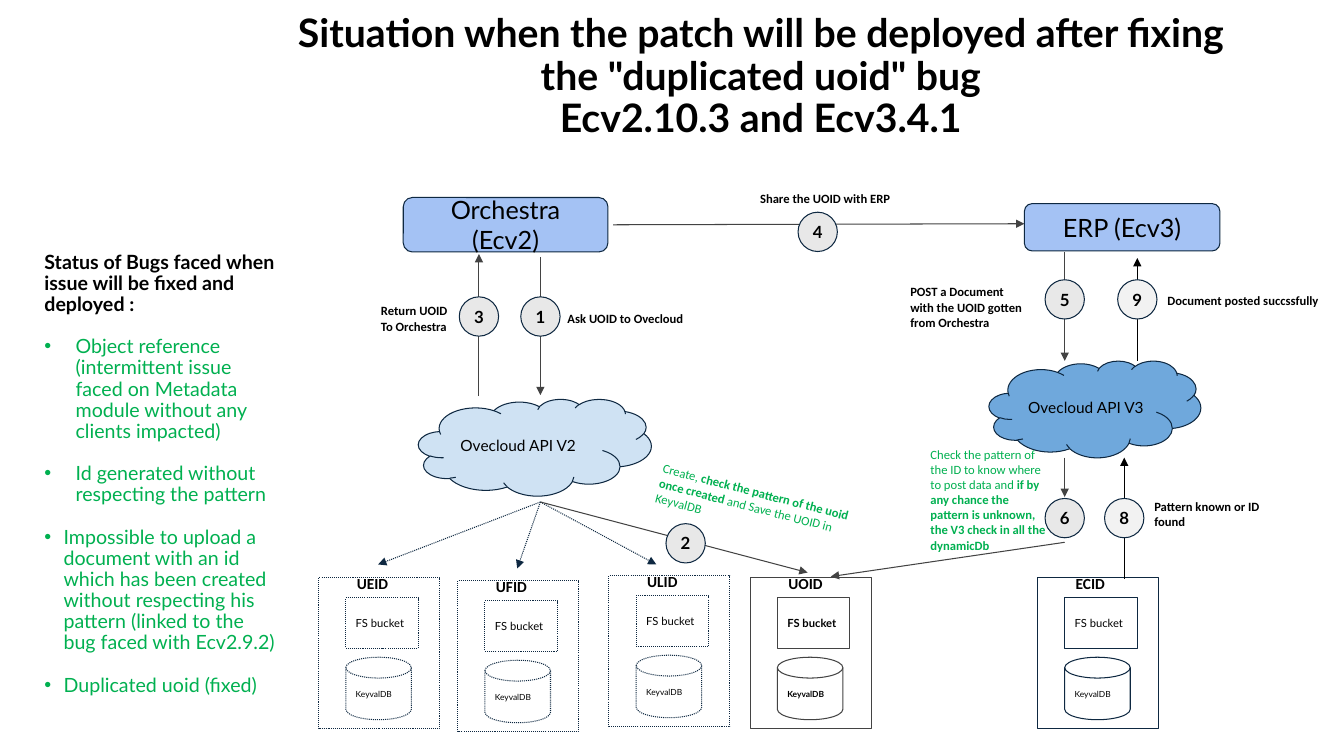
from pptx import Presentation
from pptx import util as u
from pptx.dml.color import RGBColor
from pptx.enum import dml, shapes, text
from pptx.oxml.ns import qn
from lxml import etree

WIDTH, HEIGHT = 13.33, 7.5
BLACK, NAVY, GRAY, GREEN = "000000", "0E2841", "434343", "00B050"
PALE, PALER = "E8E8E8", "F2F2F2"

# Columns of the vertical flows and rows shared by several parts (inches)
RETURN_X, ASK_X, POST_X, FOUND_X, POSTED_X = 4.75, 5.36, 10.56, 11.15, 11.28
UPPER_Y, LOWER_Y, STORE_Y = 2.97, 5.14, 5.73
FAN_Y = 4.98
CIRCLE = 0.39

TITLE = ('Situation when the patch will be deployed after fixing '
         'the "duplicated uoid" bug\nEcv2.10.3 and Ecv3.4.1')
STATUS = "Status of Bugs faced when issue will be fixed and deployed :"
BUGS = [  # text, hanging indent
    ("Object reference (intermittent issue faced on Metadata module "
     "without any clients impacted)", 0.31),
    ("Id generated without respecting the pattern", 0.31),
    ("Impossible to upload a document with an id which has been created without "
     "respecting his pattern (linked to the bug faced with Ecv2.9.2)", 0.19),
    ("Duplicated uoid (fixed)", 0.19),
]
STORES = [  # name, left, top, line colour, dotted, bold
    ("UEID", 3.16, STORE_Y, NAVY, True, False),
    ("UFID", 4.54, STORE_Y + 0.03, NAVY, True, False),
    ("ULID", 6.04, STORE_Y - 0.02, NAVY, True, False),
    ("UOID", 7.44, STORE_Y, GRAY, False, True),
    ("ECID", 10.29, STORE_Y, NAVY, False, False),
]
ARROWS = [  # start, end, colour, dotted
    ((ASK_X, FAN_Y), (3.75, 5.6), NAVY, True),
    ((ASK_X, FAN_Y), (5.13, 5.64), NAVY, True),
    ((ASK_X, FAN_Y), (6.51, 5.6), NAVY, True),
    ((ASK_X, FAN_Y), (8.01, 5.68), GRAY, False),
    ((ASK_X, 2.55), (ASK_X, 3.92), GRAY, False),
    ((RETURN_X, 3.93), (RETURN_X, 2.52), GRAY, False),
    ((6.08, 2.23), (10.16, 2.22), GRAY, False),
    ((POST_X, 2.5), (POST_X, 3.58), GRAY, False),
    ((POST_X, 4.54), (POST_X, 4.93), GRAY, False),
    ((POST_X, 5.38), (8.24, 5.72), GRAY, False),
    ((FOUND_X, 5.74), (FOUND_X, 4.54), BLACK, False),
    ((POSTED_X, 3.58), (POSTED_X, 2.56), BLACK, False),
]
STEPS = [  # number, centre, fill
    ("1", (ASK_X, 3.14), PALE), ("2", (6.8, 5.39), PALE),
    ("3", (RETURN_X, 3.14), PALE), ("4", (8.11, 2.3), PALE),
    ("5", (POST_X, UPPER_Y), PALE), ("6", (POST_X, LOWER_Y), PALE),
    ("8", (FOUND_X, LOWER_Y), PALER), ("9", (POSTED_X, UPPER_Y), PALER),
]
SYSTEMS = [("Orchestra (Ecv2)", (4, 1.96, 2.03, 0.54)),
           ("ERP (Ecv3)", (10.16, 2.02, 1.94, 0.47))]
CLOUDS = [("Ovecloud API V2", (4.15, 3.96, 2.31, 0.96), "CFE2F3"),
          ("Ovecloud API V3", (9.81, 3.58, 2.1, 0.96), "6FA8DC")]
LABELS = [  # paragraphs, box
    (["Ask UOID to Ovecloud"], (5.53, 2.98, 1.94, 0.5)),
    (["Share the UOID with ERP"], (7.44, 1.79, 2.03, 0.35)),
    (["Return UOID", "To Orchestra"], (3.68, 2.91, 1.12, 0.5)),
    (["POST a Document with the UOID gotten from Orchestra"],
     (8.93, 2.72, 1.36, 0.66)),
    (["Document posted succssfully"], (11.48, 2.81, 1.8, 0.35)),
    (["Pattern known or ID found"], (11.35, 4.85, 1.25, 0.5)),
]
NOTES = [  # text with *bold* parts, box, rotation
    ("Check the pattern of the ID to know where to post data and *if by any chance "
     "the pattern is unknown, the V3 check in all the dynamicDb*",
     (9.13, 4.33, 1.36, 1.26), 0),
    ("Create,* check the pattern of the uoid once created *and Save the UOID in "
     "KeyvalDB", (6.39, 4.73, 2.36, 0.81), 14.4),
]


def rgb(color):
    return RGBColor.from_string(color)


def inches(values):
    return [u.Inches(v) for v in values]


def write(p, content, size, font="Lato", color=BLACK, bold=False, align="LEFT"):
    """Fill a paragraph; parts between asterisks switch bold, newlines break."""
    p.alignment = getattr(text.PP_ALIGN, align)
    for i, part in enumerate(content.split("*")):
        for j, line in enumerate(part.split("\n")):
            if j:
                p.add_line_break()
            if not line:
                continue
            r = p.add_run()
            r.text = line
            r.font.size, r.font.name = u.Pt(size), font
            r.font.bold = bold != bool(i % 2)
            r.font.color.rgb = rgb(color)


def frame(sp, anchor="MIDDLE", side=0.1, ends=0.1):
    tf = sp.text_frame
    tf.word_wrap, tf.auto_size = True, text.MSO_AUTO_SIZE.NONE
    tf.vertical_anchor = getattr(text.MSO_ANCHOR, anchor)
    tf.margin_left = tf.margin_right = u.Inches(side)
    tf.margin_top = tf.margin_bottom = u.Inches(ends)
    return tf


def outline(sp, color, dotted):
    sp.line.color.rgb, sp.line.width = rgb(color), u.Pt(0.75)
    if dotted:
        sp.line.dash_style = dml.MSO_LINE.ROUND_DOT


def add_box(kind, box, fill=None, color=NAVY, dotted=False):
    sp = slide.shapes.add_shape(getattr(shapes.MSO_SHAPE, kind), *inches(box))
    sp.shadow.inherit = False
    if fill:
        sp.fill.solid()
        sp.fill.fore_color.rgb = rgb(fill)
    else:
        sp.fill.background()
    outline(sp, color, dotted)
    return sp


def add_label(paragraphs, box, rotation=0, **style):
    sp = slide.shapes.add_textbox(*inches(box))
    sp.rotation = rotation
    tf = frame(sp, "TOP")
    for i, content in enumerate(paragraphs):
        p = tf.add_paragraph() if i else tf.paragraphs[0]
        write(p, content, font="Calibri", **style)


def add_arrow(start, end, color, dotted):
    line = slide.shapes.add_connector(shapes.MSO_CONNECTOR.STRAIGHT,
                                      *inches(start + end))
    outline(line, color, dotted)
    etree.SubElement(line.line._get_or_add_ln(), qn("a:tailEnd"), type="triangle")
    etree.SubElement(line._element.spPr, qn("a:effectLst"))


def add_store(name, x, y, color, dotted, bold):
    add_box("RECTANGLE", (x, y, 1.2, 1.5), None, color, dotted)
    parts = [("RECTANGLE", "FS bucket", 8, (x + 0.27, y + 0.2, 0.72, 0.5)),
             ("FLOWCHART_MAGNETIC_DISK", "KeyvalDB", 6,
              (x + 0.27, y + 0.79, 0.65, 0.62))]
    for kind, content, size, box in parts:
        sp = add_box(kind, box, None, color, dotted)
        write(frame(sp).paragraphs[0], content, size, bold=bold)
    add_label([name], (x + 0.28, y - 0.13, 0.61, 0.39), size=11, bold=True)


def place(sp, box):
    sp.left, sp.top, sp.width, sp.height = inches(box)
    return frame(sp, side=0, ends=0)


def add_status(sp):
    tf = place(sp, (0.44, 2.02, 2.29, 5.37))
    for i, (content, indent) in enumerate([(STATUS, 0)] + BUGS):
        p = tf.add_paragraph() if i else tf.paragraphs[0]
        pPr = p._p.get_or_add_pPr()
        pPr.set("marL", str(u.Inches(indent)))
        pPr.set("indent", str(-u.Inches(indent)))
        if i:
            etree.SubElement(pPr, qn("a:buFont"), typeface="Arial")
            etree.SubElement(pPr, qn("a:buChar"), char="•")
        else:
            etree.SubElement(pPr, qn("a:buNone"))
        p.line_spacing, p.space_before = 0.9, u.Pt(15 if i else 0)
        write(p, content, 14, color=GREEN if i else BLACK, bold=not i)


prs = Presentation()
prs.slide_width, prs.slide_height = inches((WIDTH, HEIGHT))
slide = prs.slides.add_slide(prs.slide_layouts[1])

title = place(slide.shapes.title, (2.73, 0.46, 9.63, 0.62)).paragraphs[0]
title.line_spacing = 0.9
write(title, TITLE, 28, bold=True, align="CENTER")
add_status(slide.placeholders[1])

for store in STORES:
    add_store(*store)
for arrow in ARROWS:
    add_arrow(*arrow)
for content, box, fill in CLOUDS:
    write(frame(add_box("CLOUD", box, fill)).paragraphs[0], content, 11)
for content, box in SYSTEMS:
    sp = add_box("FLOWCHART_ALTERNATE_PROCESS", box, "A4C2F4")
    write(frame(sp, side=0.25).paragraphs[0], content, 18, align="CENTER")
for number, (x, y), fill in STEPS:
    sp = add_box("OVAL", (x - CIRCLE / 2, y - CIRCLE / 2, CIRCLE, CIRCLE), fill)
    write(frame(sp, side=0, ends=0).paragraphs[0], number, 12, bold=True,
          align="CENTER")
for paragraphs, box in LABELS:
    add_label(paragraphs, box, size=9, bold=True)
for content, box, rotation in NOTES:
    add_label([content], box, rotation, size=9, color=GREEN)

prs.save("out.pptx")
